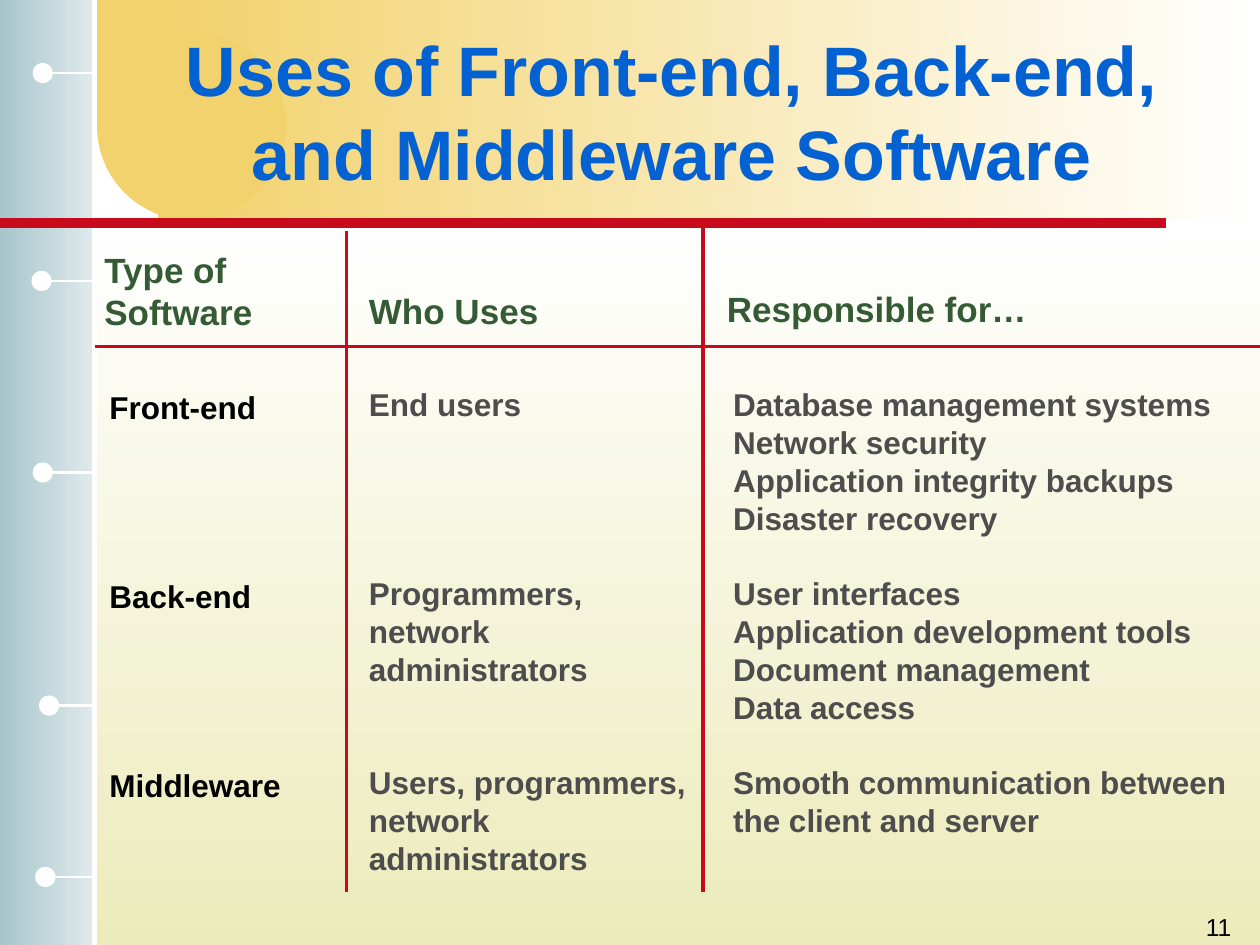
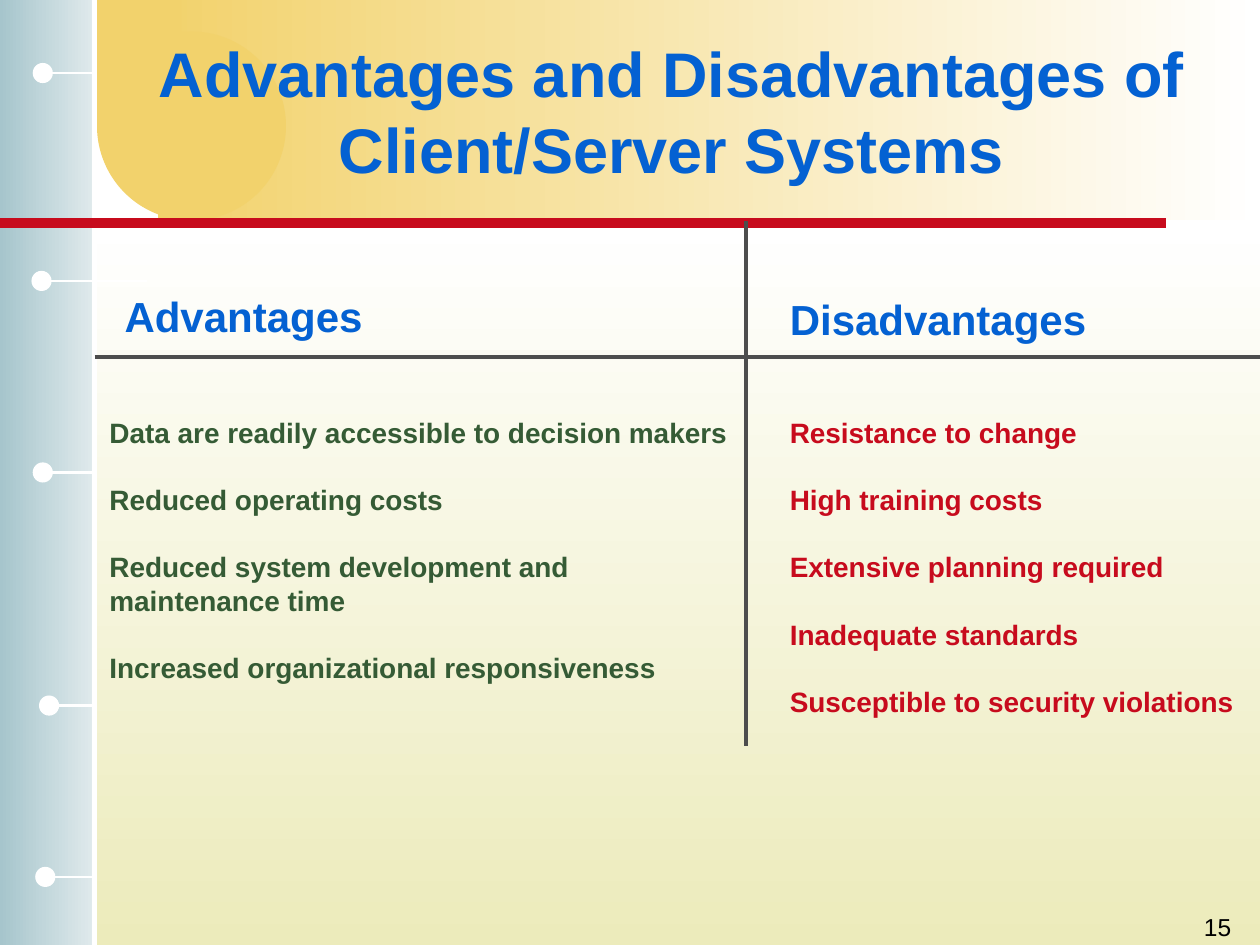
from dataclasses import dataclass
from typing import Any, NamedTuple, Optional

from lxml import etree
from pptx import Presentation
from pptx import util as u
from pptx.dml.color import RGBColor
from pptx.enum import shapes, text
from pptx.oxml.ns import qn


@dataclass(frozen=True)
class Theme:
    font: str = "Arial"
    blue: str = "0461D2"
    green: str = "355B35"
    red: str = "C70B1D"
    grey: str = "4D4D4D"
    black: str = "000000"
    white: str = "FFFFFF"
    gold: str = "F2D26C"
    cream: str = "ECEBBB"
    mist: str = "E0EAEC"
    teal: str = "A6C5CC"
    heading: int = 20
    side_heading: int = 24
    cell: int = 18
    point: int = 16
    page_number: int = 14
    line_pitch: float = 1.2
    rule: float = 2.25


THEME = Theme()
RECTANGLE = shapes.MSO_SHAPE.RECTANGLE
OVAL = shapes.MSO_SHAPE.OVAL


class Area(NamedTuple):
    left: float
    top: float
    width: float
    height: float

    def lengths(self) -> list[u.Length]:
        return [u.Inches(value) for value in self]


class Panel(NamedTuple):
    area: Area
    kind: Any
    colours: tuple[str, ...]
    angle: int = 0


class Rule(NamedTuple):
    start: tuple[float, float]
    end: tuple[float, float]
    colour: str
    weight: float = THEME.rule


class Knob(NamedTuple):
    dot_left: float
    centre: float
    stem_end: float


class TextBlock(NamedTuple):
    area: Area
    groups: list[list[str]]
    size: int
    colour: str
    bold: bool = True
    align: Any = text.PP_ALIGN.LEFT
    anchor: Any = text.MSO_ANCHOR.TOP
    row_lines: Optional[int] = None  # fixed lines per group; otherwise one line apart


class Page(NamedTuple):
    title: str
    title_size: int
    number: int
    rules: list[Rule]
    blocks: list[TextBlock]


# Shared background
PANELS = [
    Panel(Area(0.73, 1.77, 9.27, 5.73), RECTANGLE, (THEME.white, THEME.cream), 270),
    Panel(Area(0, 0, 0.75, 7.5), RECTANGLE, (THEME.mist, THEME.teal), 180),
    Panel(Area(1.25, 0, 8.75, 1.75), RECTANGLE, (THEME.white, THEME.gold), 180),
    Panel(Area(0.77, 0.25, 1.5, 1.5), OVAL, (THEME.gold,)),
    Panel(Area(0.77, 0, 0.67, 0.96), RECTANGLE, (THEME.gold,)),
]
BAND_RULES = [
    Rule((0.75, 0), (0.75, 7.5), THEME.white, 3),
    Rule((0, 1.77), (9.25, 1.77), THEME.red, 6),
]
KNOB_SIZE = 0.16
KNOBS = [
    Knob(0.26, 0.58, 0.75),
    Knob(0.25, 2.23, 1.17),
    Knob(0.26, 3.75, 0.73),
    Knob(0.31, 5.6, 0.75),
    Knob(0.28, 6.96, 0.73),
]


def apply(target: Any, formats: dict[str, Any]) -> None:
    for name, value in formats.items():
        setattr(target, name, value)


def add_panel(slide: Any, panel: Panel) -> None:
    shape = slide.shapes.add_shape(panel.kind, *panel.area.lengths())
    shape.shadow.inherit = False
    shape.line.fill.background()
    if len(panel.colours) == 1:
        shape.fill.solid()
        shape.fill.fore_color.rgb = RGBColor.from_string(panel.colours[0])
        return
    shape.fill.gradient()
    shape.fill.gradient_angle = panel.angle
    for stop, colour in zip(shape.fill.gradient_stops, panel.colours):
        stop.color.rgb = RGBColor.from_string(colour)


def add_rule(slide: Any, rule: Rule) -> None:
    ends = [u.Inches(value) for value in (*rule.start, *rule.end)]
    connector = slide.shapes.add_connector(shapes.MSO_CONNECTOR.STRAIGHT, *ends)
    connector.line.color.rgb = RGBColor.from_string(rule.colour)
    connector.line.width = u.Pt(rule.weight)
    properties = connector._element.find(qn("p:spPr"))
    etree.SubElement(properties, qn("a:effectLst"))


def add_knob(slide: Any, knob: Knob) -> None:
    radius = KNOB_SIZE / 2
    dot = Area(knob.dot_left, knob.centre - radius, KNOB_SIZE, KNOB_SIZE)
    add_rule(slide, Rule((knob.stem_end, knob.centre),
                         (knob.dot_left + radius, knob.centre), THEME.white, 1.5))
    add_panel(slide, Panel(dot, OVAL, (THEME.white,)))


def add_text(slide: Any, block: TextBlock) -> None:
    frame = slide.shapes.add_textbox(*block.area.lengths()).text_frame
    apply(frame, {"word_wrap": True, "vertical_anchor": block.anchor})
    pitch = block.size * THEME.line_pitch
    gap = 0
    paragraph = frame.paragraphs[0]
    for group_index, group in enumerate(block.groups):
        for line_index, line in enumerate(group):
            if group_index or line_index:
                paragraph = frame.add_paragraph()
            paragraph.text = line
            apply(paragraph, {"alignment": block.align, "line_spacing": u.Pt(pitch)})
            if group_index and not line_index:
                paragraph.space_before = u.Pt(gap * pitch)
            apply(paragraph.font, {"name": THEME.font, "size": u.Pt(block.size),
                                   "bold": block.bold})
            paragraph.font.color.rgb = RGBColor.from_string(block.colour)
        gap = block.row_lines - len(group) if block.row_lines else 1


def add_page(presentation: Any, page: Page) -> None:
    slide = presentation.slides.add_slide(presentation.slide_layouts[6])
    for panel in PANELS:
        add_panel(slide, panel)
    for rule in BAND_RULES:
        add_rule(slide, rule)
    for knob in KNOBS:
        add_knob(slide, knob)
    title = TextBlock(Area(1.08, 0.25, 8.5, 1.25), [[page.title]], page.title_size,
                      THEME.blue, align=text.PP_ALIGN.CENTER,
                      anchor=text.MSO_ANCHOR.MIDDLE)
    number = TextBlock(Area(7.79, 7.19, 2.08, 0.5), [[str(page.number)]],
                       THEME.page_number, THEME.black, bold=False,
                       align=text.PP_ALIGN.RIGHT)
    for rule in page.rules:
        add_rule(slide, rule)
    for block in [title, *page.blocks, number]:
        add_text(slide, block)


def heading(area: Area, *lines: str) -> TextBlock:
    return TextBlock(area, [list(lines)], THEME.heading, THEME.green)


def software_column(area: Area, colour: str, *cells: list[str]) -> TextBlock:
    return TextBlock(area, list(cells), THEME.cell, colour, row_lines=5)


def side_heading(area: Area, label: str) -> TextBlock:
    return TextBlock(area, [[label]], THEME.side_heading, THEME.blue)


def point_list(area: Area, colour: str, *points: str) -> TextBlock:
    return TextBlock(area, [[point] for point in points], THEME.point, colour)


# Software types: who uses them and what they handle
SOFTWARE_PAGE = Page(
    "Uses of Front-end, Back-end, and Middleware Software", 40, 11,
    [
        Rule((0.75, 2.75), (10, 2.75), THEME.red),
        Rule((2.75, 1.83), (2.75, 7.08), THEME.red),
        Rule((5.58, 1.75), (5.58, 7.08), THEME.red),
    ],
    [
        heading(Area(0.73, 1.92, 1.5, 0.77), "Type of", "Software"),
        heading(Area(2.83, 2.25, 1.7, 0.44), "Who Uses"),
        heading(Area(5.67, 2.23, 2.7, 0.44), "Responsible for…"),
        software_column(Area(0.77, 3.03, 1.7, 3.4), THEME.black,
                        ["Front-end"], ["Back-end"], ["Middleware"]),
        software_column(Area(2.83, 3.01, 2.8, 4), THEME.grey,
                        ["End users"],
                        ["Programmers,", "network", "administrators"],
                        ["Users, programmers,", "network", "administrators"]),
        software_column(Area(5.72, 3.01, 4.2, 3.7), THEME.grey,
                        ["Database management systems", "Network security",
                         "Application integrity backups", "Disaster recovery"],
                        ["User interfaces", "Application development tools",
                         "Document management", "Data access"],
                        ["Smooth communication between", "the client and server"]),
    ],
)

# Client/server pros and cons
CLIENT_SERVER_PAGE = Page(
    "Advantages and Disadvantages of Client/Server Systems", 36, 15,
    [
        Rule((0.75, 2.83), (10, 2.83), THEME.grey),
        Rule((5.92, 1.75), (5.92, 5.92), THEME.grey),
    ],
    [
        side_heading(Area(0.89, 2.26, 2.2, 0.5), "Advantages"),
        point_list(Area(0.77, 3.25, 5.15, 2.24), THEME.green,
                   "Data are readily accessible to decision makers",
                   "Reduced operating costs",
                   "Reduced system development and maintenance time",
                   "Increased organizational responsiveness"),
        side_heading(Area(6.17, 2.28, 2.7, 0.5), "Disadvantages"),
        point_list(Area(6.17, 3.25, 3.8, 2.5), THEME.red,
                   "Resistance to change",
                   "High training costs",
                   "Extensive planning required",
                   "Inadequate standards",
                   "Susceptible to security violations"),
    ],
)


def main() -> None:
    presentation = Presentation()
    apply(presentation, {"slide_width": u.Inches(10), "slide_height": u.Inches(7.5)})
    for page in (SOFTWARE_PAGE, CLIENT_SERVER_PAGE):
        add_page(presentation, page)
    presentation.save("out.pptx")


if __name__ == "__main__":
    main()
